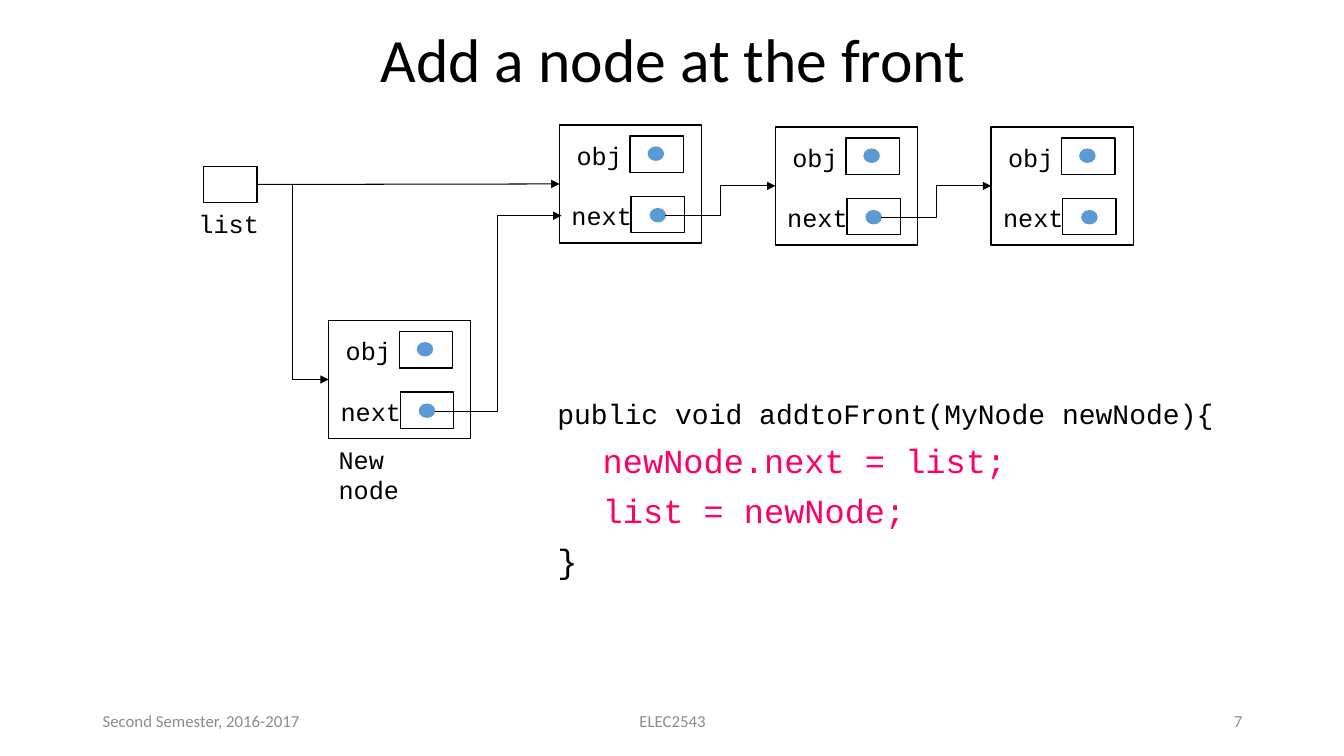
from typing import NamedTuple

from lxml.etree import SubElement
from pptx import Presentation
from pptx.dml.color import RGBColor
from pptx.enum.shapes import MSO_CONNECTOR as Connector, MSO_SHAPE as Shape
from pptx.enum.text import MSO_ANCHOR as Anchor, PP_ALIGN as Align
from pptx.oxml.ns import qn
from pptx.util import Inches, Pt

BLACK, BLUE, PINK, GRAY = "000000", "5B9BD5", "FF0066", "8C8C8C"
CODE_FONT, TEXT_FONT = "Courier New", "Calibri"
NODE_WIDTH, NODE_HEIGHT = 1.41, 1.17
CELL_WIDTH, CELL_HEIGHT = 0.53, 0.36


class Node(NamedTuple):
    left: float
    top: float

    @property
    def entry(self) -> tuple[float, float]:
        return self.left, self.top + NODE_HEIGHT / 2

    @property
    def pointer(self) -> tuple[float, float]:
        return self.left + 1.05, self.top + 0.9


class Field(NamedTuple):
    name: str
    label: tuple[float, float, float]
    cell: tuple[float, float]
    dot: tuple[float, float]


class CodeLine(NamedTuple):
    text: str
    size: int
    color: str
    margin: float


class Footer(NamedTuple):
    text: str
    left: float
    width: float
    align: Align


# Field places are relative to the corner of the node
FIELDS = [
    Field("obj", (0.07, 0.1, 0.65), (0.7, 0.11), (0.88, 0.22)),
    Field("next", (0.02, 0.7, 0.8), (0.71, 0.71), (0.9, 0.83)),
]
FIRST, SECOND, THIRD = Node(5.55, 1.24), Node(7.69, 1.26), Node(9.83, 1.26)
NEW_NODE = Node(3.26, 3.18)
CODE = [
    CodeLine("public void addtoFront(MyNode newNode){", 20, BLACK, 0),
    CodeLine("newNode.next = list;", 24, PINK, 0.45),
    CodeLine("list = newNode;", 24, PINK, 0.45),
    CodeLine("}", 24, BLACK, 0),
]
FOOTERS = [
    Footer("Second Semester, 2016-2017", 0.92, 3, Align.LEFT),
    Footer("ELEC2543", 4.42, 4.5, Align.CENTER),
    Footer("7", 9.42, 3, Align.RIGHT),
]


def rgb(color: str) -> RGBColor:
    return RGBColor.from_string(color)


def add_run(paragraph, text: str, size: int, font: str, color: str) -> None:
    run = paragraph.add_run()
    run.text = text
    run.font.size = Pt(size)
    run.font.name = font
    run.font.color.rgb = rgb(color)


def add_text_frame(shapes, left: float, top: float, width: float, height: float, wrap: bool = True):
    box = shapes.add_textbox(Inches(left), Inches(top), Inches(width), Inches(height))
    box.text_frame.word_wrap = wrap
    return box.text_frame


def add_label(shapes, text: str, left: float, top: float, width: float, wrap: bool = False) -> None:
    frame = add_text_frame(shapes, left, top, width, 0.4, wrap)
    add_run(frame.paragraphs[0], text, 18, CODE_FONT, BLACK)


def add_centered_line(text: str, left: float, top: float, width: float, height: float,
                      size: int, color: str, align: Align):
    frame = add_text_frame(slide.shapes, left, top, width, height)
    frame.vertical_anchor = Anchor.MIDDLE
    paragraph = frame.paragraphs[0]
    paragraph.alignment = align
    add_run(paragraph, text, size, TEXT_FONT, color)
    return paragraph


def add_outline(shapes, kind: Shape, left: float, top: float, width: float, height: float,
                line: str = BLACK, fill: str | None = None) -> None:
    shape = shapes.add_shape(kind, Inches(left), Inches(top), Inches(width), Inches(height))
    shape.shadow.inherit = False
    shape.line.color.rgb = rgb(line)
    shape.line.width = Pt(1)
    if fill is None:
        shape.fill.background()
    else:
        shape.fill.solid()
        shape.fill.fore_color.rgb = rgb(fill)


def add_node(node: Node) -> None:
    shapes = slide.shapes.add_group_shape().shapes
    add_outline(shapes, Shape.RECTANGLE, *node, NODE_WIDTH, NODE_HEIGHT)
    for field in FIELDS:
        cell_left, cell_top = field.cell
        add_outline(shapes, Shape.RECTANGLE, node.left + cell_left, node.top + cell_top,
                    CELL_WIDTH, CELL_HEIGHT)
        label_left, label_top, label_width = field.label
        add_label(shapes, field.name, node.left + label_left, node.top + label_top, label_width)
        dot_left, dot_top = field.dot
        add_outline(shapes, Shape.OVAL, node.left + dot_left, node.top + dot_top,
                    0.15, 0.13, BLUE, BLUE)


def add_arrow(kind: Connector, start: tuple[float, float], end: tuple[float, float]) -> None:
    points = [Inches(value) for value in (*start, *end)]
    arrow = slide.shapes.add_connector(kind, *points)
    arrow.line.color.rgb = rgb(BLACK)
    arrow.line.width = Pt(0.75)
    SubElement(arrow.line._get_or_add_ln(), qn("a:tailEnd"), type="triangle")
    SubElement(arrow._element.spPr, qn("a:effectLst"))


presentation = Presentation()
presentation.slide_width, presentation.slide_height = Inches(13.33), Inches(7.5)
slide = presentation.slides.add_slide(presentation.slide_layouts[6])

# Title
title = add_centered_line("Add a node at the front", 2.18, 0, 9, 1.25, 44, BLACK, Align.CENTER)
title.line_spacing = 0.9

# Code
code_frame = add_text_frame(slide.shapes, 5.43, 3.92, 6.87, 2.07)
for index, line in enumerate(CODE):
    paragraph = code_frame.add_paragraph() if index else code_frame.paragraphs[0]
    paragraph.line_spacing = 0.9
    paragraph.space_before = Pt(10)
    paragraph._p.get_or_add_pPr().set("marL", str(Inches(line.margin)))
    add_run(paragraph, line.text, line.size, CODE_FONT, line.color)

# Nodes and list variable
for node in (FIRST, SECOND, THIRD, NEW_NODE):
    add_node(node)
add_label(slide.shapes, "New node", NEW_NODE.left, 4.36, 1.3, wrap=True)
add_outline(slide.shapes, Shape.RECTANGLE, 2.02, 1.65, CELL_WIDTH, CELL_HEIGHT)
add_label(slide.shapes, "list", 1.87, 2.02, 0.8)

# Arrows
list_exit = (2.55, 1.83)
add_arrow(Connector.STRAIGHT, list_exit, FIRST.entry)
add_arrow(Connector.ELBOW, list_exit, NEW_NODE.entry)
add_arrow(Connector.ELBOW, FIRST.pointer, SECOND.entry)
add_arrow(Connector.ELBOW, SECOND.pointer, THIRD.entry)
add_arrow(Connector.ELBOW, NEW_NODE.pointer, (5.57, 2.14))

# Footer
for footer in FOOTERS:
    add_centered_line(footer.text, footer.left, 6.95, footer.width, 0.4, 12, GRAY, footer.align)

presentation.save("out.pptx")
